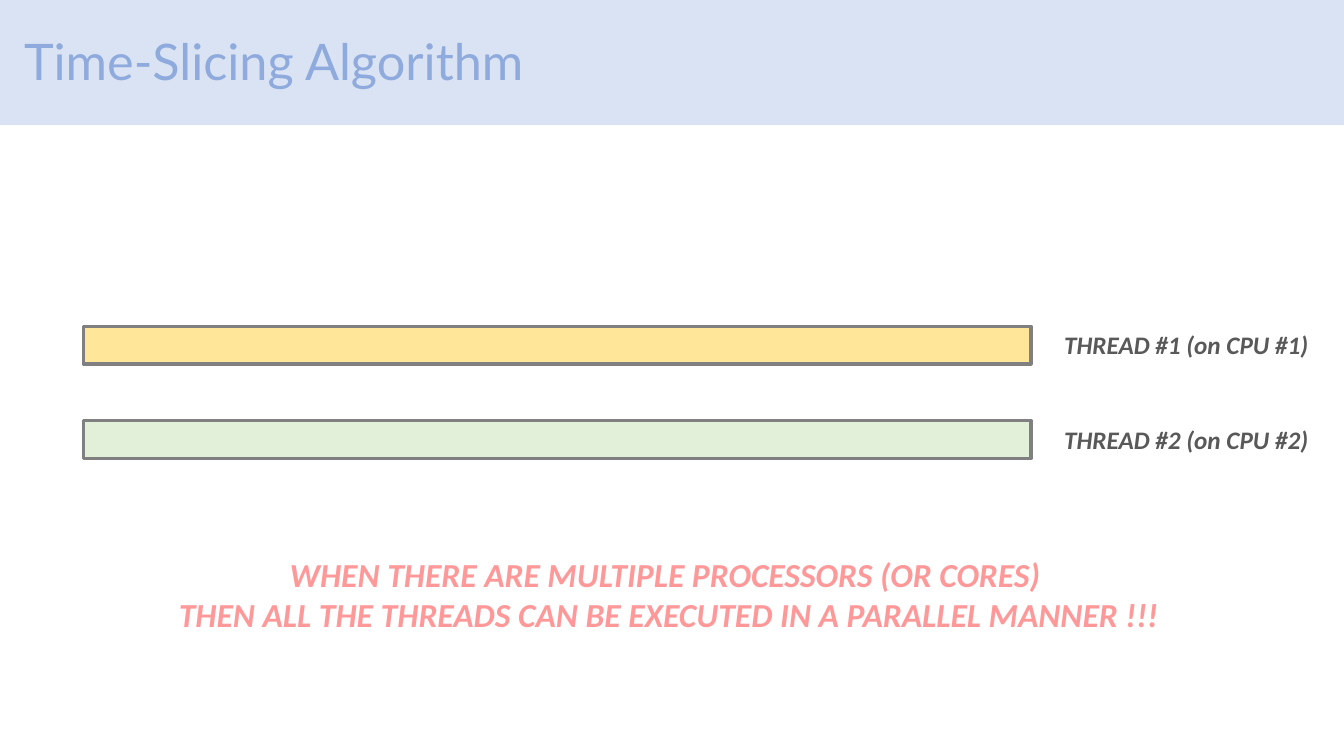
"""Build the Time-Slicing Algorithm slide about threads running on two CPUs."""
from dataclasses import dataclass

from pptx import Presentation
from pptx.dml.color import RGBColor
from pptx.enum.shapes import MSO_SHAPE
from pptx.enum.text import MSO_ANCHOR, PP_ALIGN
from pptx.util import Pt

RECTANGLE = MSO_SHAPE.RECTANGLE
MIDDLE = MSO_ANCHOR.MIDDLE
LEFT, CENTER = PP_ALIGN.LEFT, PP_ALIGN.CENTER


@dataclass(frozen=True)
class Theme:
    header: str = "DAE3F3"
    header_line: str = "FFFFFF"
    title: str = "8FAADC"
    thread_label: str = "595959"
    thread_line: str = "808080"
    thread_fills: tuple = ("FFE699", "E2F0D9")
    conclusion: str = "FF9999"
    title_font: str = "Lato"
    body_font: str = "Calibri"
    title_size: int = 36
    label_size: int = 18
    conclusion_size: int = 24


theme = Theme()


def add_bar(left, top, width, height, fill, line, line_width):
    bar = slide.shapes.add_shape(RECTANGLE, Pt(left), Pt(top), Pt(width), Pt(height))
    bar.shadow.inherit = False
    bar.fill.solid()
    bar.fill.fore_color.rgb = RGBColor.from_string(fill)
    bar.line.color.rgb = RGBColor.from_string(line)
    bar.line.width = Pt(line_width)
    return bar


def style_text(frame, font_name, size, color, align, emphasis):
    frame.word_wrap = not emphasis
    for paragraph in frame.paragraphs:
        paragraph.alignment = align
        for run in paragraph.runs:
            run.font.name = font_name
            run.font.size = Pt(size)
            run.font.bold = run.font.italic = emphasis
            run.font.color.rgb = RGBColor.from_string(color)


presentation = Presentation()
presentation.slide_width, presentation.slide_height = Pt(960), Pt(540)
slide = presentation.slides.add_slide(presentation.slide_layouts[5])

header = add_bar(-10, -3, 977, 92.5, theme.header, theme.header_line, 1)
title = slide.shapes.title
title.element.addprevious(header.element)
title.left, title.top, title.width, title.height = Pt(10), Pt(-6.5), Pt(828), Pt(104.4)
title.text_frame.text = "Time-Slicing Algorithm"
title.text_frame.vertical_anchor = MIDDLE
title.text_frame.paragraphs[0].line_spacing = 0.9
style_text(title.text_frame, theme.title_font, theme.title_size, theme.title, LEFT, False)

for number, fill in enumerate(theme.thread_fills, start=1):
    thread_top = 233 + 67.5 * (number - 1)
    add_bar(59.5, thread_top, 677, 27, fill, theme.thread_line, 2.25)
    label = slide.shapes.add_textbox(Pt(753), Pt(thread_top - 1), Pt(191), Pt(29))
    label.text_frame.text = f"THREAD #{number} (on CPU #{number})"
    style_text(label.text_frame, theme.body_font, theme.label_size,
               theme.thread_label, LEFT, True)

conclusion = slide.shapes.add_textbox(Pt(117.5), Pt(392), Pt(720.5), Pt(94.5))
conclusion.text_frame.text = (
    "WHEN THERE ARE MULTIPLE PROCESSORS (OR CORES) \n"
    "THEN ALL THE THREADS CAN BE EXECUTED IN A PARALLEL MANNER !!!"
)
style_text(conclusion.text_frame, theme.body_font, theme.conclusion_size,
           theme.conclusion, CENTER, True)

presentation.save("out.pptx")
